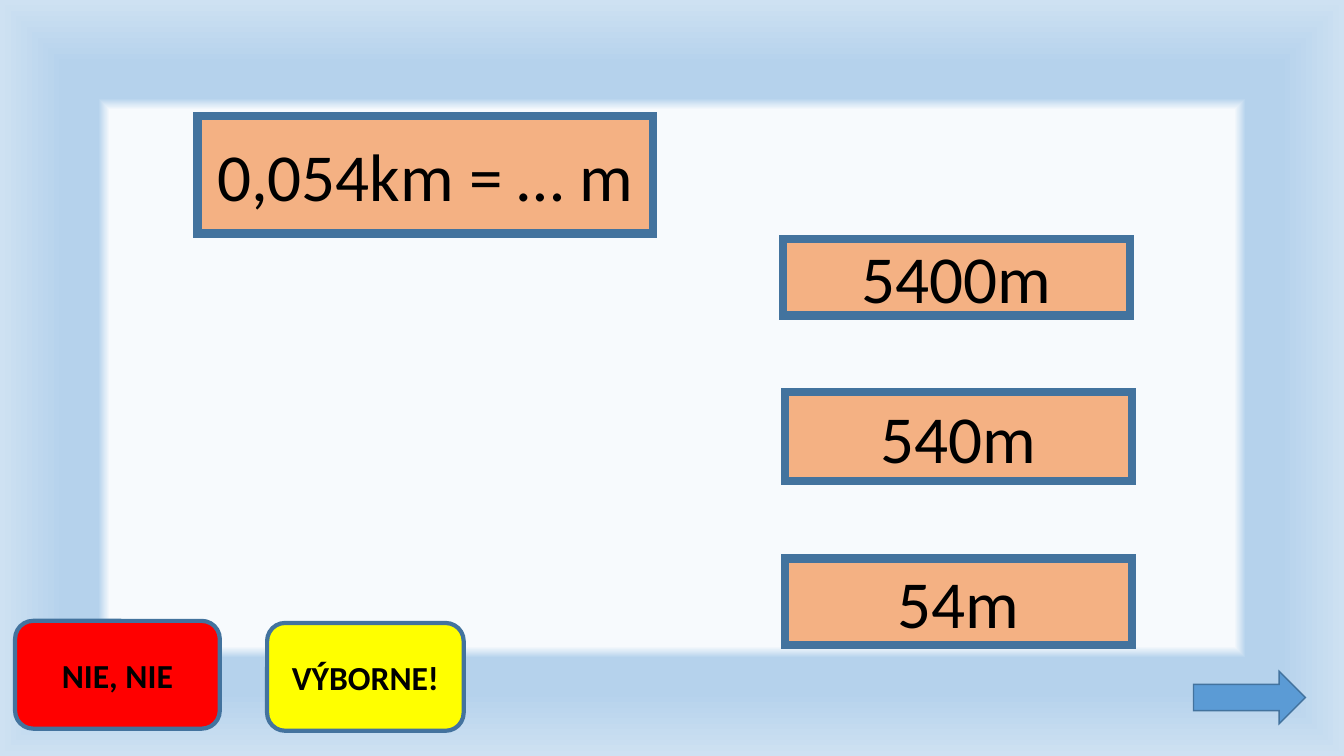
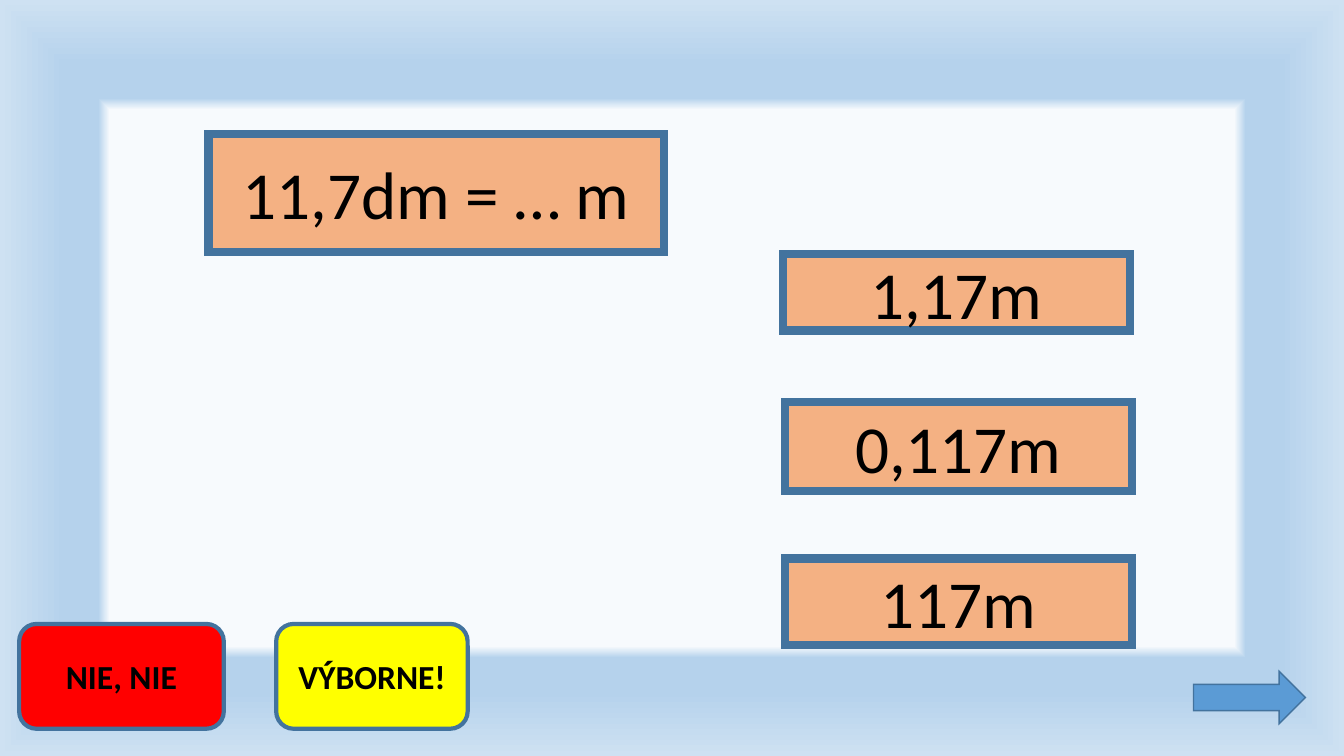
from lxml import etree
from pptx import Presentation
from pptx.dml.color import RGBColor
from pptx.enum.shapes import MSO_SHAPE
from pptx.enum.text import MSO_ANCHOR, PP_ALIGN
from pptx.oxml.ns import qn
from pptx.util import Pt

RECTANGLE = MSO_SHAPE.RECTANGLE
ROUNDED = MSO_SHAPE.ROUNDED_RECTANGLE
ARROW = MSO_SHAPE.RIGHT_ARROW
MIDDLE = MSO_ANCHOR.MIDDLE
CENTER = PP_ALIGN.CENTER

FONT = "Calibri"
COLORS = {
    "card": "F4B183",
    "outline": "43739E",
    "wrong": "FF0000",
    "right": "FFFF00",
    "next": "5B9BD5",
    "text": "000000",
    "center": "F7FAFD",
    "frame": "B5D2EC",
    "edge": "CEE1F2",
}
BACKGROUND_STOPS = [(71, "center"), (74, "frame"), (83, "frame"), (100, "edge")]

# Places are left, top, width, height in points.
QUESTION_SIZE = (325.5, 84.2)
ANSWER_WIDTH = 247.7
ANSWER_COLUMN = [(559.4, 54.7), (560.9, 63.4), (560.9, 61.9)]  # left, height
NEXT_PLACE = (852.5, 479.5, 79.9, 37.4)

EXERCISES = [
    {
        "question": "0,054km = … m",
        "question_corner": (141.1, 82.8),
        "answers": [("5400m", 170.6), ("540m", 280.1), ("54m", 398.9)],
        "wrong_place": (10.8, 443.5, 146.2, 77),
        "right_place": (190.8, 445, 140.4, 77),
    },
    {
        "question": "11,7dm = … m",
        "question_corner": (149, 95.8),
        "answers": [("1,17m", 181.4), ("0,117m", 287.3), ("117m", 398.9)],
        "wrong_place": (13.7, 445.7, 146.2, 74.9),
        "right_place": (197.3, 445.7, 136.8, 74.9),
    },
]


def color(name):
    return RGBColor.from_string(COLORS[name])


def set_background(master):
    """Give the master a gradient that spreads from the middle to the edges."""
    master.background.fill.gradient()
    gradient = master.element.find(".//" + qn("p:bgPr")).find(qn("a:gradFill"))
    gradient.clear()
    stops = etree.SubElement(gradient, qn("a:gsLst"))
    for position, name in BACKGROUND_STOPS:
        stop = etree.SubElement(stops, qn("a:gs"), pos=str(position * 1000))
        etree.SubElement(stop, qn("a:srgbClr"), val=COLORS[name])
    spread = etree.SubElement(gradient, qn("a:path"), path="shape")
    sides = dict.fromkeys("ltrb", "50000")
    etree.SubElement(spread, qn("a:fillToRect"), **sides)


def add_box(page, kind, place, fill, line_width):
    box = page.shapes.add_shape(kind, *(Pt(length) for length in place))
    box.shadow.inherit = False
    box.fill.solid()
    box.fill.fore_color.rgb = color(fill)
    box.line.width = Pt(line_width)
    box.line.color.rgb = color("outline")
    outline = box.element.spPr.find(qn("a:ln"))
    etree.SubElement(outline, qn("a:miter"), lim="800000")
    return box


def write(box, text, size, bold=False):
    frame = box.text_frame
    frame.word_wrap = True
    frame.vertical_anchor = MIDDLE
    para = frame.paragraphs[0]
    para.alignment = CENTER
    span = para.add_run()
    span.text = text
    span.font.name = FONT
    span.font.size = Pt(size)
    span.font.bold = bold
    span.font.color.rgb = color("text")


def add_card(page, text, place):
    write(add_box(page, RECTANGLE, place, "card", 6), text, size=48)


def add_feedback(page, text, place, fill):
    write(add_box(page, ROUNDED, place, fill, 3), text, size=24, bold=True)


def add_exercise(deck, exercise):
    page = deck.slides.add_slide(deck.slide_layouts[6])
    add_card(page, exercise["question"], exercise["question_corner"] + QUESTION_SIZE)
    for (text, top), (left, height) in zip(exercise["answers"], ANSWER_COLUMN):
        add_card(page, text, (left, top, ANSWER_WIDTH, height))
    add_feedback(page, "NIE, NIE", exercise["wrong_place"], "wrong")
    add_feedback(page, "VÝBORNE!", exercise["right_place"], "right")
    add_box(page, ARROW, NEXT_PLACE, "next", 1)


def main():
    deck = Presentation()
    deck.slide_width, deck.slide_height = Pt(960), Pt(540)
    set_background(deck.slide_master)
    for exercise in EXERCISES:
        add_exercise(deck, exercise)
    deck.save("out.pptx")


if __name__ == "__main__":
    main()
